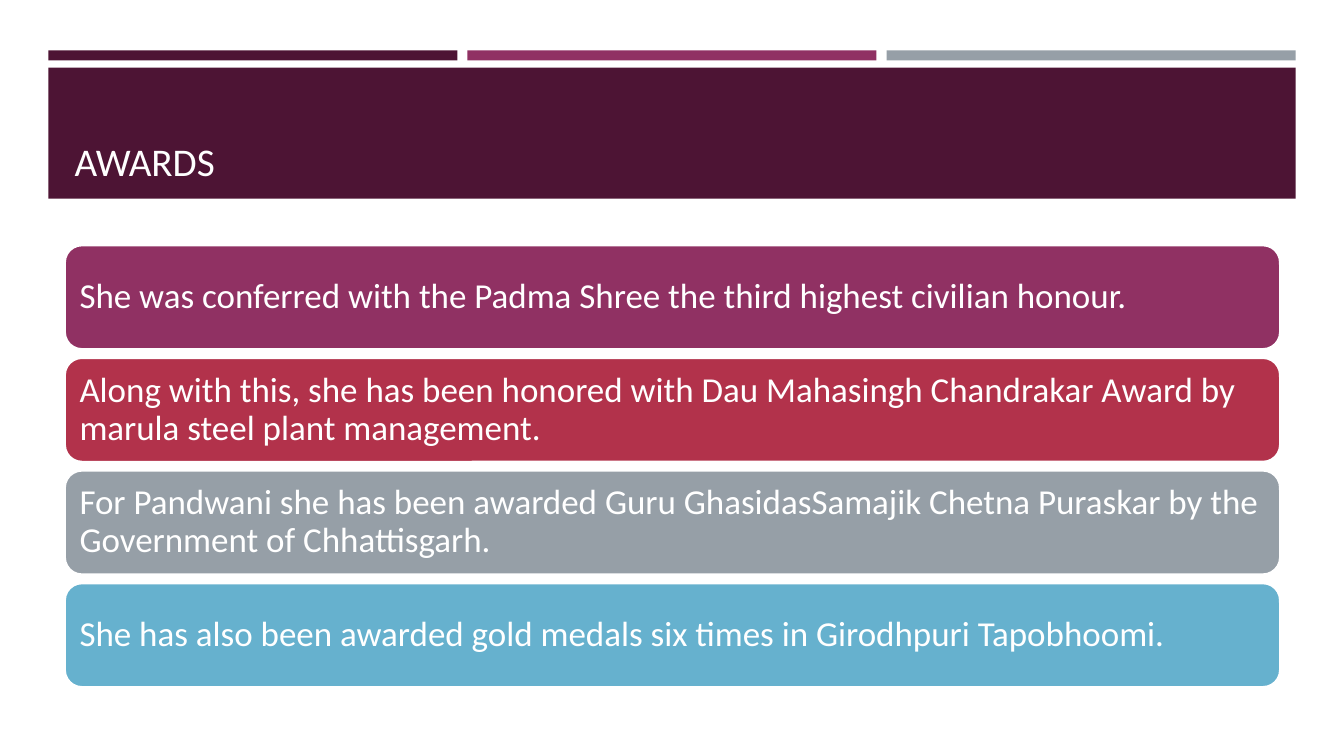
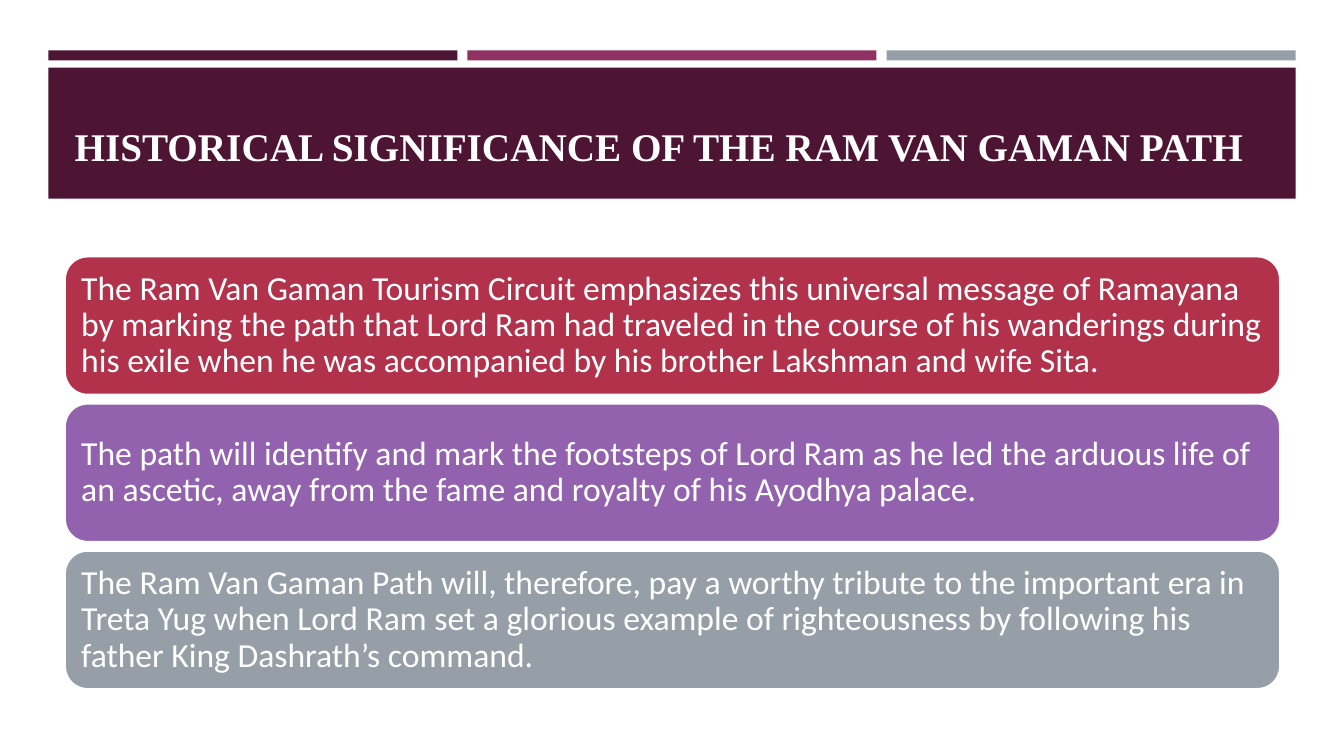
"""Build two slides of coloured statement cards under a shared title band."""
import dataclasses
import typing

import pptx
import pptx.dml.color
import pptx.enum.shapes
import pptx.enum.text
import pptx.shapes.autoshape
import pptx.slide
import pptx.util

SHAPES = pptx.enum.shapes.MSO_SHAPE
ANCHORS = pptx.enum.text.MSO_ANCHOR


@dataclasses.dataclass(frozen=True)
class Theme:
    plum: str = "4D1434"
    magenta: str = "903163"
    red: str = "B2324B"
    grey: str = "969FA7"
    blue: str = "66B1CE"
    violet: str = "9362AF"
    white: str = "FFFFFF"
    font: str = "Calibri"
    serif: str = "Times New Roman"
    title_size: int = 28


class Box(typing.NamedTuple):
    left: float
    top: float
    width: float
    height: float

    def split(self, columns: int, rows: int, gap: float) -> list["Box"]:
        width = (self.width - gap * (columns - 1)) / columns
        height = (self.height - gap * (rows - 1)) / rows
        return [
            Box(self.left + column * (width + gap), self.top + row * (height + gap), width, height)
            for row in range(rows)
            for column in range(columns)
        ]


class Card(typing.NamedTuple):
    color: str
    text: str


@dataclasses.dataclass(frozen=True)
class CardSlide:
    title: str
    title_top: float
    title_font: dict[str, typing.Any]
    cards_top: float
    cards_bottom: float
    text_size: int
    cards: tuple[Card, ...]


THEME = Theme()
SLIDE_WIDTH, SLIDE_HEIGHT = 13.33, 7.5
CONTENT_LEFT, CONTENT_WIDTH = 0.64, 12.06
TITLE_HEIGHT = 1.11
CARD_GAP = 0.08
STRIPES = Box(0.48, 0.5, 12.37, 0.1)
BAND = Box(0.48, 0.67, 12.37, 1.3)

CARD_SLIDES = (
    CardSlide(
        "AWARDS", 0.77, {"name": THEME.font, "bold": False}, 2.43, 6.82, 25,
        (
            Card(THEME.magenta, "She was conferred with the Padma Shree the third highest civilian honour."),
            Card(THEME.red, "Along with this, she has been honored with Dau Mahasingh Chandrakar Award "
                 "by marula steel plant management."),
            Card(THEME.grey, "For Pandwani she has been awarded Guru GhasidasSamajik Chetna Puraskar "
                 "by the Government of Chhattisgarh."),
            Card(THEME.blue, "She has also been awarded gold medals six times in Girodhpuri Tapobhoomi."),
        ),
    ),
    CardSlide(
        "HISTORICAL SIGNIFICANCE OF THE RAM VAN GAMAN PATH",
        0.62, {"name": THEME.serif, "bold": True}, 2.54, 6.84, 24,
        (
            Card(THEME.red, "The Ram Van Gaman Tourism Circuit emphasizes this universal message of "
                 "Ramayana by marking the path that Lord Ram had traveled in the course of his "
                 "wanderings during his exile when he was accompanied by his brother Lakshman "
                 "and wife Sita."),
            Card(THEME.violet, "The path will identify and mark the footsteps of Lord Ram as he led the "
                 "arduous life of an ascetic, away from the fame and royalty of his Ayodhya palace."),
            Card(THEME.grey, "The Ram Van Gaman Path will, therefore, pay a worthy tribute to the "
                 "important era in Treta Yug when Lord Ram set a glorious example of righteousness "
                 "by following his father King Dashrath’s command."),
        ),
    ),
)


def rgb(color: str) -> pptx.dml.color.RGBColor:
    return pptx.dml.color.RGBColor.from_string(color)


def apply(target: typing.Any, values: dict[str, typing.Any]) -> None:
    for name, value in values.items():
        setattr(target, name, value)


def place(shape: typing.Any, box: Box) -> None:
    apply(shape, {name: pptx.util.Inches(value) for name, value in box._asdict().items()})


def write(shape: typing.Any, text: str, size: int, anchor: ANCHORS,
          font: dict[str, typing.Any], spacing: float) -> None:
    frame = shape.text_frame
    apply(frame, {
        "text": text,
        "word_wrap": True,
        "vertical_anchor": anchor,
        "auto_size": pptx.enum.text.MSO_AUTO_SIZE.NONE,
    })
    paragraph = frame.paragraphs[0]
    apply(paragraph, {"alignment": pptx.enum.text.PP_ALIGN.LEFT, "line_spacing": spacing})
    run_font = paragraph.runs[0].font
    apply(run_font, {"size": pptx.util.Pt(size), **font})
    run_font.color.rgb = rgb(THEME.white)


def add_block(slide: pptx.slide.Slide, kind: SHAPES, box: Box,
              color: str) -> pptx.shapes.autoshape.Shape:
    shape = slide.shapes.add_shape(kind, *(pptx.util.Inches(value) for value in box))
    shape.shadow.inherit = False
    shape.fill.solid()
    shape.fill.fore_color.rgb = rgb(color)
    shape.line.fill.background()
    return shape


def move_band_to_layout(slide: pptx.slide.Slide) -> None:
    blocks = list(zip(STRIPES.split(3, 1, 0.1), (THEME.plum, THEME.magenta, THEME.grey)))
    blocks.append((BAND, THEME.plum))
    for index, (box, color) in enumerate(blocks):
        element = add_block(slide, SHAPES.RECTANGLE, box, color).element
        element.nvSpPr.cNvPr.set("id", str(100 + index))
        slide.slide_layout.shapes.element.insert(2 + index, element)


def fill_slide(slide: pptx.slide.Slide, content: CardSlide) -> None:
    title = slide.shapes.title
    place(title, Box(CONTENT_LEFT, content.title_top, CONTENT_WIDTH, TITLE_HEIGHT))
    write(title, content.title, THEME.title_size, ANCHORS.BOTTOM, content.title_font, 1.0)
    area = Box(CONTENT_LEFT, content.cards_top, CONTENT_WIDTH,
               content.cards_bottom - content.cards_top)
    for box, card in zip(area.split(1, len(content.cards), CARD_GAP), content.cards):
        shape = add_block(slide, SHAPES.ROUNDED_RECTANGLE, box, card.color)
        shape.line.color.rgb = rgb(THEME.white)
        shape.line.width = pptx.util.Pt(2)
        apply(shape.text_frame, {
            f"margin_{side}": pptx.util.Inches(0.1) for side in ("left", "top", "right", "bottom")
        })
        write(shape, card.text, content.text_size, ANCHORS.MIDDLE, {"name": THEME.font}, 0.9)


def main() -> None:
    presentation = pptx.Presentation()
    apply(presentation, {
        "slide_width": pptx.util.Inches(SLIDE_WIDTH),
        "slide_height": pptx.util.Inches(SLIDE_HEIGHT),
    })
    layout = presentation.slide_layouts.get_by_name("Title Only")
    slides = [presentation.slides.add_slide(layout) for _ in CARD_SLIDES]
    move_band_to_layout(slides[0])
    for slide, content in zip(slides, CARD_SLIDES):
        fill_slide(slide, content)
    presentation.save("out.pptx")


if __name__ == "__main__":
    main()
